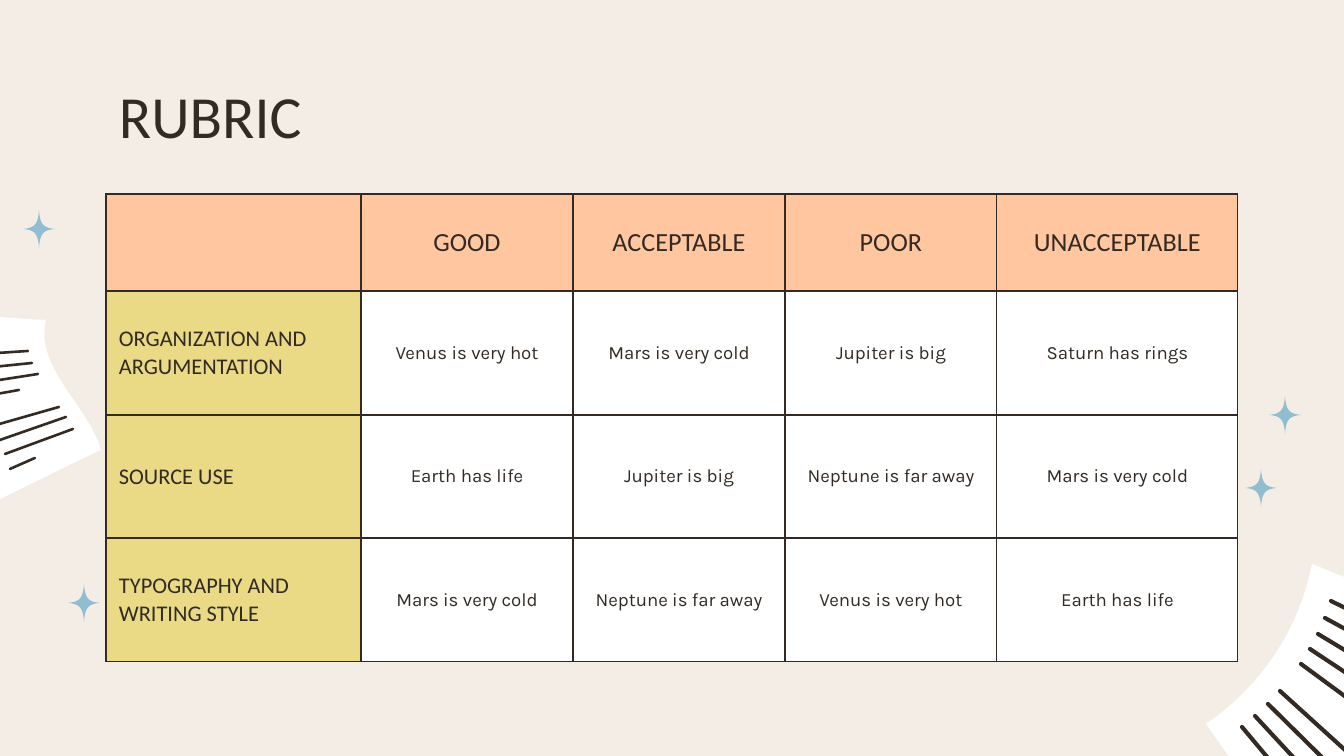
import pptx
import pptx.dml.color
import pptx.enum.shapes
import pptx.enum.text
import pptx.oxml
import pptx.oxml.ns
import pptx.util

EMU_PER_PX = 914400 / 134.4
COLORS = {
    "background": "F3EDE6", "ink": "322A23", "paper": "FFFFFF", "star": "91BDD1",
    "header": "FFC6A0", "criterion": "EADA85", "cell": "FFFFFF",
}
CENTER = pptx.enum.text.PP_ALIGN.CENTER
LEFT = pptx.enum.text.PP_ALIGN.LEFT
TITLE_FORMAT = {"name": "Calibri", "size": pptx.util.Pt(32)}
HEADER_FORMAT = {"name": "Calibri", "size": pptx.util.Pt(14)}
CRITERION_FORMAT = {"name": "Calibri", "size": pptx.util.Pt(12)}
CELL_FORMAT = {"name": "Karla", "size": pptx.util.Pt(10)}

COLUMN_WIDTHS = [255, 212, 212, 212, 241]
ROW_HEIGHTS = [97, 124, 123, 124]
RUBRIC = [
    ["", "GOOD", "ACCEPTABLE", "POOR", "UNACCEPTABLE"],
    ["ORGANIZATION AND ARGUMENTATION", "Venus is very hot", "Mars is very cold",
     "Jupiter is big", "Saturn has rings"],
    ["SOURCE USE", "Earth has life", "Jupiter is big", "Neptune is far away",
     "Mars is very cold"],
    ["TYPOGRAPHY AND WRITING STYLE", "Mars is very cold", "Neptune is far away",
     "Venus is very hot", "Earth has life"],
]

LEFT_PAPER = [
    (101, 450), [(67, 466), (31, 484), (-8, 503)], [(12, 433), (-106, 390), (-52, 312)],
    [(-23, 314), (11, 319), (46, 320)], [(34, 368), (89, 406), (101, 450)],
]
LEFT_WRITING = [
    (-48, 356, 28, 351), (-46, 371, 32, 363), (-39, 386, 38, 374), (-31, 399, 19, 390),
    (-11, 427, 59, 407), (-3, 441, 66, 417), (5, 454, 73, 429), (10, 469, 35, 458),
]
RIGHT_PAPER = [
    (1294, 849), [(1206, 724)], [(1261, 687), (1300, 628), (1312, 564)],
    [(1485, 634)], [(1453, 727), (1383, 805), (1294, 849)],
]
RIGHT_WRITING = [
    (1331, 601, 1402, 636), (1325, 618, 1435, 678), (1318, 634, 1424, 698),
    (1310, 649, 1411, 716), (1301, 664, 1365, 711), (1280, 691, 1366, 769),
    (1268, 704, 1349, 784), (1255, 716, 1331, 798), (1242, 727, 1268, 758),
]
STAR_CENTERS = [(1285, 415), (1261, 488), (39, 229), (84, 603)]
STAR = [
    (16, 0), [(4, 1), (1, 5), (0, 19)], [(-1, 5), (-4, 1), (-16, 0)],
    [(-4, -1), (-1, -5), (0, -19)], [(1, -5), (4, -1), (16, 0)],
]


def px(length):
    return pptx.util.Emu(round(length * EMU_PER_PX))


def rgb(name):
    return pptx.dml.color.RGBColor.from_string(COLORS[name])


def paint(fill, color):
    fill.solid()
    fill.fore_color.rgb = rgb(color)


def write(frame, text, font_format, align=LEFT):
    paragraph = frame.paragraphs[0]
    paragraph.alignment = align
    run = paragraph.add_run()
    run.text = text
    for attribute, value in font_format.items():
        setattr(run.font, attribute, value)
    run.font.color.rgb = rgb("ink")


def curve_points(start, first, second, end, steps=16):
    for step in range(1, steps + 1):
        t = step / steps
        weights = ((1 - t) ** 3, 3 * t * (1 - t) ** 2, 3 * t * t * (1 - t), t ** 3)
        yield tuple(sum(w * point[axis] for w, point in zip(weights, (start, first, second, end)))
                    for axis in (0, 1))


def add_outline(slide, outline, color, origin=(0, 0)):
    points = [outline[0]]
    for segment in outline[1:]:
        points += segment if len(segment) == 1 else list(curve_points(points[-1], *segment))
    corners = [(px(origin[0] + x), px(origin[1] + y)) for x, y in points]
    builder = slide.shapes.build_freeform(*corners[0], scale=1.0)
    builder.add_line_segments(corners[1:], close=True)
    shape = builder.convert_to_shape()
    shape.shadow.inherit = False
    paint(shape.fill, color)
    shape.line.fill.background()


def add_stroke(slide, ends, weight):
    stroke = slide.shapes.add_connector(
        pptx.enum.shapes.MSO_CONNECTOR.STRAIGHT, *[px(end) for end in ends])
    stroke.line.color.rgb = rgb("ink")
    stroke.line.width = pptx.util.Pt(weight)
    properties = stroke._element.spPr
    properties.find(pptx.oxml.ns.qn("a:ln")).set("cap", "rnd")
    properties.append(pptx.oxml.parse_xml(f"<a:effectLst {pptx.oxml.ns.nsdecls('a')}/>"))


def add_paper(slide, outline, writing, weight):
    add_outline(slide, outline, "paper")
    for ends in writing:
        add_stroke(slide, ends, weight)


def add_title(slide, text):
    title = slide.shapes.add_textbox(px(106), px(66), px(1133), px(95))
    frame = title.text_frame
    frame.word_wrap = True
    for side in ("left", "top", "right", "bottom"):
        setattr(frame, f"margin_{side}", px(13))
    write(frame, text, TITLE_FORMAT)


def add_borders(cell):
    properties = cell._tc.get_or_add_tcPr()
    for side in "LRTB":
        properties.append(pptx.oxml.parse_xml(
            f'<a:ln{side} {pptx.oxml.ns.nsdecls("a")} w="9525"><a:solidFill>'
            f'<a:srgbClr val="{COLORS["ink"]}"/></a:solidFill></a:ln{side}>'))


def add_rubric(slide):
    table = slide.shapes.add_table(
        len(RUBRIC), len(COLUMN_WIDTHS), px(106), px(194),
        px(sum(COLUMN_WIDTHS)), px(sum(ROW_HEIGHTS))).table
    table.first_row = False
    table.horz_banding = False
    for column, width in zip(table.columns, COLUMN_WIDTHS):
        column.width = px(width)
    for row, height in zip(table.rows, ROW_HEIGHTS):
        row.height = px(height)
    for row_index, texts in enumerate(RUBRIC):
        for column_index, text in enumerate(texts):
            if row_index == 0:
                color, font_format, align = "header", HEADER_FORMAT, CENTER
            elif column_index == 0:
                color, font_format, align = "criterion", CRITERION_FORMAT, LEFT
            else:
                color, font_format, align = "cell", CELL_FORMAT, CENTER
            cell = table.cell(row_index, column_index)
            add_borders(cell)
            paint(cell.fill, color)
            cell.vertical_anchor = pptx.enum.text.MSO_ANCHOR.MIDDLE
            for side in ("left", "top", "right", "bottom"):
                setattr(cell, f"margin_{side}", px(13))
            if text:
                write(cell.text_frame, text, font_format, align)


def main():
    deck = pptx.Presentation()
    deck.slide_width, deck.slide_height = px(1344), px(756)
    slide = deck.slides.add_slide(deck.slide_layouts[6])
    paint(slide.background.fill, "background")
    add_paper(slide, LEFT_PAPER, LEFT_WRITING, 1.4)
    add_paper(slide, RIGHT_PAPER, RIGHT_WRITING, 2.2)
    for center in STAR_CENTERS:
        add_outline(slide, STAR, "star", center)
    add_title(slide, "RUBRIC")
    add_rubric(slide)
    deck.save("out.pptx")


if __name__ == "__main__":
    main()
